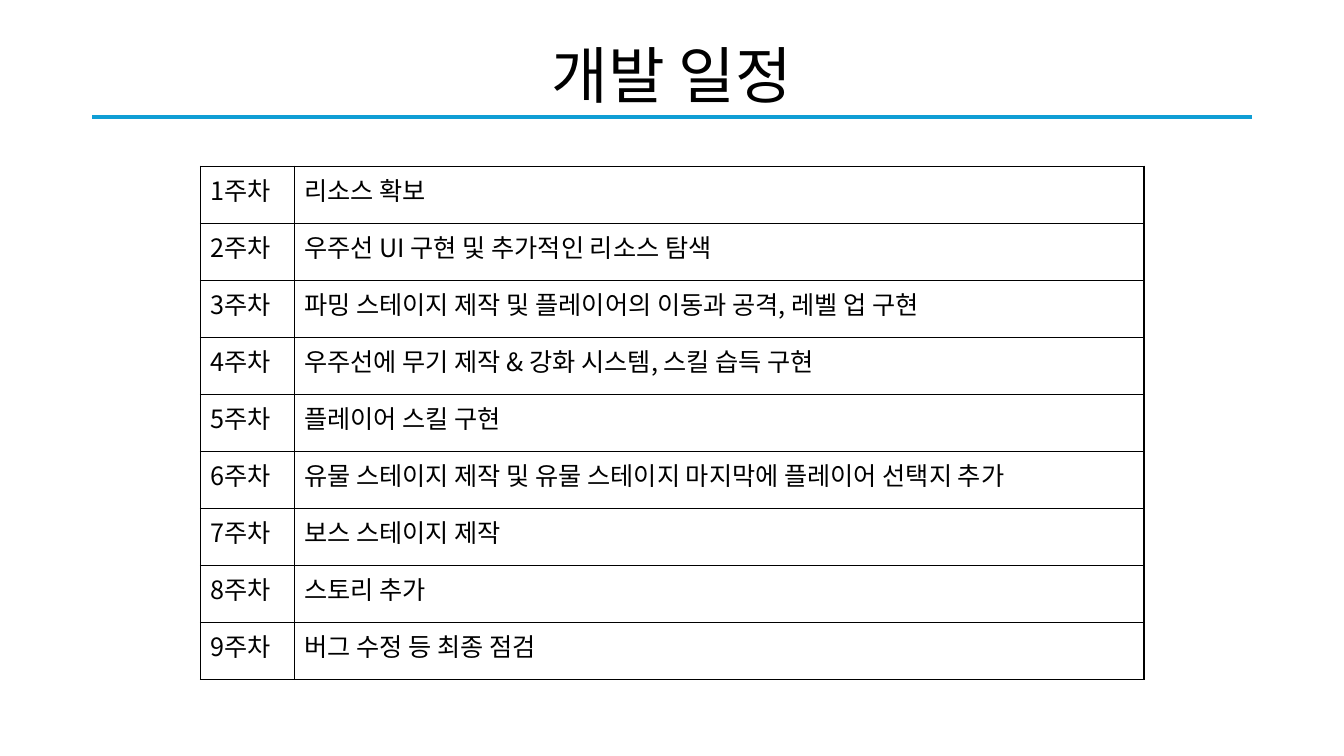
from lxml.etree import SubElement
from pptx import Presentation
from pptx.dml.color import RGBColor
from pptx.enum.shapes import MSO_CONNECTOR as Connector
from pptx.enum.text import MSO_ANCHOR as Anchor, PP_ALIGN as Align
from pptx.oxml import parse_xml
from pptx.oxml.ns import nsdecls, qn
from pptx.util import Pt

BLACK = RGBColor(0x00, 0x00, 0x00)
WHITE = RGBColor(0xFF, 0xFF, 0xFF)
BLUE = RGBColor(0x0F, 0x9E, 0xD5)

WEEKLY_TASKS = [
    "리소스 확보",
    "우주선 UI 구현 및 추가적인 리소스 탐색",
    "파밍 스테이지 제작 및 플레이어의 이동과 공격, 레벨 업 구현",
    "우주선에 무기 제작 & 강화 시스템, 스킬 습득 구현",
    "플레이어 스킬 구현",
    "유물 스테이지 제작 및 유물 스테이지 마지막에 플레이어 선택지 추가",
    "보스 스테이지 제작",
    "스토리 추가",
    "버그 수정 등 최종 점검",
]


class ScheduleSlide:
    """Draws the parts of a schedule slide in one shared style."""

    font_name = "Noto Sans CJK KR"

    def __init__(self, page):
        self.page = page

    def set_text(self, para, text, size):
        para.text = text
        font = para.font
        font.size = Pt(size)
        font.color.rgb = BLACK
        font.name = self.font_name
        defaults = para._p.pPr.find(qn("a:defRPr"))
        SubElement(defaults, qn("a:ea")).set("typeface", self.font_name)

    def title(self, text, left, top, width, height):
        box = self.page.shapes.add_textbox(Pt(left), Pt(top), Pt(width), Pt(height))
        frame = box.text_frame
        frame.word_wrap = True
        frame.vertical_anchor = Anchor.MIDDLE
        para = frame.paragraphs[0]
        para.alignment = Align.CENTER
        para.line_spacing = 0.9
        self.set_text(para, text, 44)

    def rule(self, left, top, width):
        line = self.page.shapes.add_connector(
            Connector.STRAIGHT, Pt(left), Pt(top), Pt(left + width), Pt(top))
        line.line.color.rgb = BLUE
        line.line.width = Pt(3)
        SubElement(line._element.spPr, qn("a:effectLst"))

    def border(self, cell):
        properties = cell._tc.get_or_add_tcPr()
        for index, side in enumerate(("lnL", "lnR", "lnT", "lnB")):
            properties.insert(index, parse_xml(
                f'<a:{side} {nsdecls("a")} w="{Pt(1)}"><a:solidFill>'
                f'<a:srgbClr val="{BLACK}"/></a:solidFill></a:{side}>'))

    def table(self, rows, left, top, column_widths, row_height):
        table = self.page.shapes.add_table(
            len(rows), len(column_widths), Pt(left), Pt(top),
            Pt(sum(column_widths)), Pt(row_height * len(rows))).table
        table.first_row = False
        table.horz_banding = False
        for column, width in zip(table.columns, column_widths):
            column.width = Pt(width)
        for row, texts in zip(table.rows, rows):
            row.height = Pt(row_height)
            for cell, text in zip(row.cells, texts):
                cell.fill.solid()
                cell.fill.fore_color.rgb = WHITE
                self.border(cell)
                self.set_text(cell.text_frame.paragraphs[0], text, 18)


def main():
    deck = Presentation()
    deck.slide_width = Pt(960)
    deck.slide_height = Pt(540)
    slide = ScheduleSlide(deck.slides.add_slide(deck.slide_layouts[6]))
    slide.title("개발 일정", 66, 3.6, 828, 104.4)
    slide.rule(66, 83.5, 828)
    rows = [(f"{week}주차", task) for week, task in enumerate(WEEKLY_TASKS, 1)]
    slide.table(rows, 143.2, 118.8, (67, 607), 40.72)
    deck.save("out.pptx")


if __name__ == "__main__":
    main()
